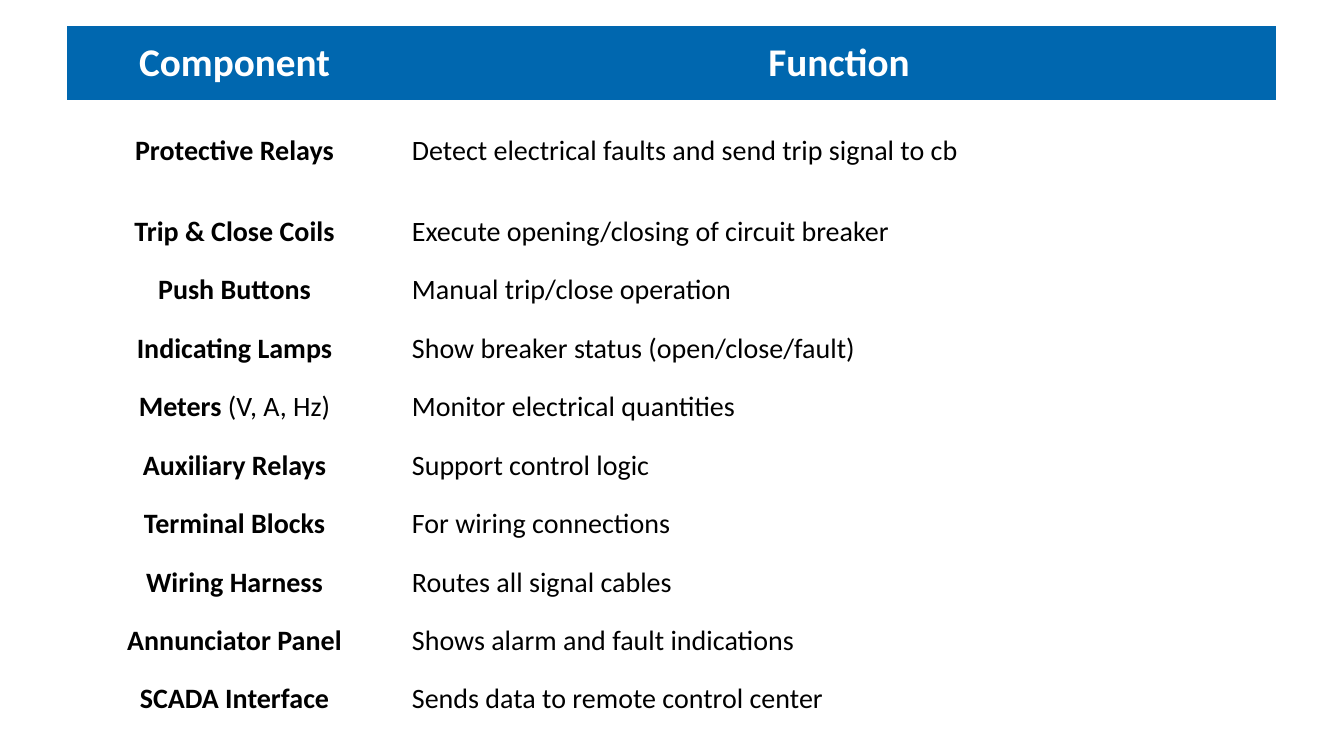
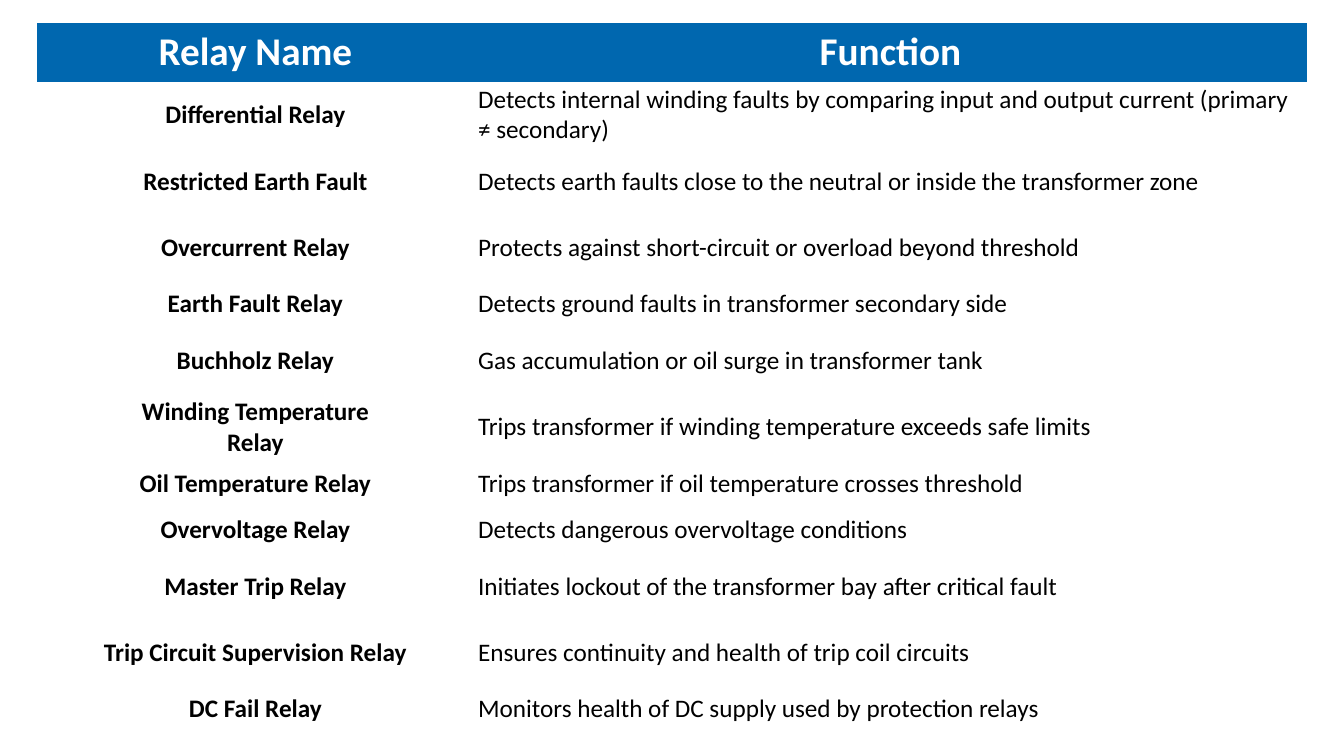
from pptx import Presentation
from pptx import util as u
from pptx.dml.color import RGBColor
from pptx.enum import text
from pptx.oxml import ns

BLUE = RGBColor(0x00, 0x67, 0xAF)
WHITE = RGBColor(0xFF, 0xFF, 0xFF)
BLACK = RGBColor(0x00, 0x00, 0x00)
FONT = "Calibri"
HEADER_SIZE = 28
PLAIN_TABLE_STYLE = "{2D5ABB26-0587-4C30-8999-92F81FD0307C}"
GRID = 100  # columns and rows that divide the slide
BLANK_LAYOUT = 6

COMPONENTS = [
    ("Protective Relays", "Detect electrical faults and send trip signal to cb"),
    ("Trip & Close Coils", "Execute opening/closing of circuit breaker"),
    ("Push Buttons", "Manual trip/close operation"),
    ("Indicating Lamps", "Show breaker status (open/close/fault)"),
    ("Meters (V, A, Hz)", "Monitor electrical quantities"),
    ("Auxiliary Relays", "Support control logic"),
    ("Terminal Blocks", "For wiring connections"),
    ("Wiring Harness", "Routes all signal cables"),
    ("Annunciator Panel", "Shows alarm and fault indications"),
    ("SCADA Interface", "Sends data to remote control center"),
]

RELAYS = [
    ("Differential Relay",
     "Detects internal winding faults by comparing input and output current (primary ≠ secondary)"),
    ("Restricted Earth Fault",
     "Detects earth faults close to the neutral or inside the transformer zone"),
    ("Overcurrent Relay", "Protects against short-circuit or overload beyond threshold"),
    ("Earth Fault Relay", "Detects ground faults in transformer secondary side"),
    ("Buchholz Relay", "Gas accumulation or oil surge in transformer tank"),
    ("Winding Temperature\nRelay",
     "Trips transformer if winding temperature exceeds safe limits"),
    ("Oil Temperature Relay", "Trips transformer if oil temperature crosses threshold"),
    ("Overvoltage Relay", "Detects dangerous overvoltage conditions"),
    ("Master Trip Relay", "Initiates lockout of the transformer bay after critical fault"),
    ("Trip Circuit Supervision Relay", "Ensures continuity and health of trip coil circuits"),
    ("DC Fail Relay", "Monitors health of DC supply used by protection relays"),
]
SHORT_RELAYS = {"Earth Fault Relay", "Oil Temperature Relay", "Overvoltage Relay", "DC Fail Relay"}


class Deck:
    def __init__(self):
        self.presentation = Presentation()
        self.presentation.slide_width = u.Inches(13.33)
        self.presentation.slide_height = u.Inches(7.5)
        self.slide = None

    def columns(self, count):
        return round(self.presentation.slide_width * count / GRID)

    def rows(self, count):
        return round(self.presentation.slide_height * count / GRID)

    def add_slide(self):
        layout = self.presentation.slide_layouts[BLANK_LAYOUT]
        self.slide = self.presentation.slides.add_slide(layout)

    def table(self, left, top, widths, heights, header, entries, size, margins):
        """Place a header row and name/function entries; lengths are grid units."""
        frame = self.slide.shapes.add_table(
            len(heights), len(widths), self.columns(left), self.rows(top),
            self.columns(sum(widths)), self.rows(sum(heights)))
        frame.element.find(".//" + ns.qn("a:tableStyleId")).text = PLAIN_TABLE_STYLE
        table = frame.table
        table.horz_banding = False
        for column, width in zip(table.columns, widths):
            column.width = self.columns(width)
        for row, height in zip(table.rows, heights):
            row.height = self.rows(height)

        for cell, title in zip(table.rows[0].cells, header):
            self.cell(cell, title, HEADER_SIZE, WHITE, margins, True, BLUE)
        for row, (name, function) in zip(list(table.rows)[1:], entries):
            name_cell, function_cell = row.cells
            self.cell(name_cell, name, size, BLACK, margins, True)
            self.cell(function_cell, function, size, BLACK, margins, False)

    def cell(self, cell, content, size, color, margins, is_label, fill=None):
        """Write a cell; labels are centred and bold up to any bracket."""
        if fill is None:
            cell.fill.background()
        else:
            cell.fill.solid()
            cell.fill.fore_color.rgb = fill
        cell.vertical_anchor = text.MSO_ANCHOR.MIDDLE
        side, edge = margins
        cell.margin_left = cell.margin_right = u.Inches(side)
        cell.margin_top = cell.margin_bottom = u.Inches(edge)
        cell.text = content
        for paragraph in cell.text_frame.paragraphs:
            font = paragraph.font
            font.name, font.size, font.bold = FONT, u.Pt(size), is_label
            font.color.rgb = color
            if is_label:
                paragraph.alignment = text.PP_ALIGN.CENTER
                label, bracket, units = paragraph.text.partition(" (")
                if bracket:
                    paragraph.runs[0].text = label
                    plain_run = paragraph.add_run()
                    plain_run.text = bracket + units
                    plain_run.font.bold = False
            else:
                paragraph.alignment = text.PP_ALIGN.LEFT


def main():
    deck = Deck()

    deck.add_slide()
    heights = [9.73, 13.6] + [7.73] * (len(COMPONENTS) - 1)
    deck.table(5, 3.5, [24.9, 65.05], heights, ["Component", "Function"],
               COMPONENTS, 20, (0.1, 0.05))

    deck.add_slide()
    heights = [7.73] + [6.13 if name in SHORT_RELAYS else 8.8 for name, _ in RELAYS]
    deck.table(2.73, 3.07, [32.55, 61.95], heights, ["Relay Name", "Function"],
               RELAYS, 18, (0.04, 0.02))

    deck.presentation.save("out.pptx")


if __name__ == "__main__":
    main()
